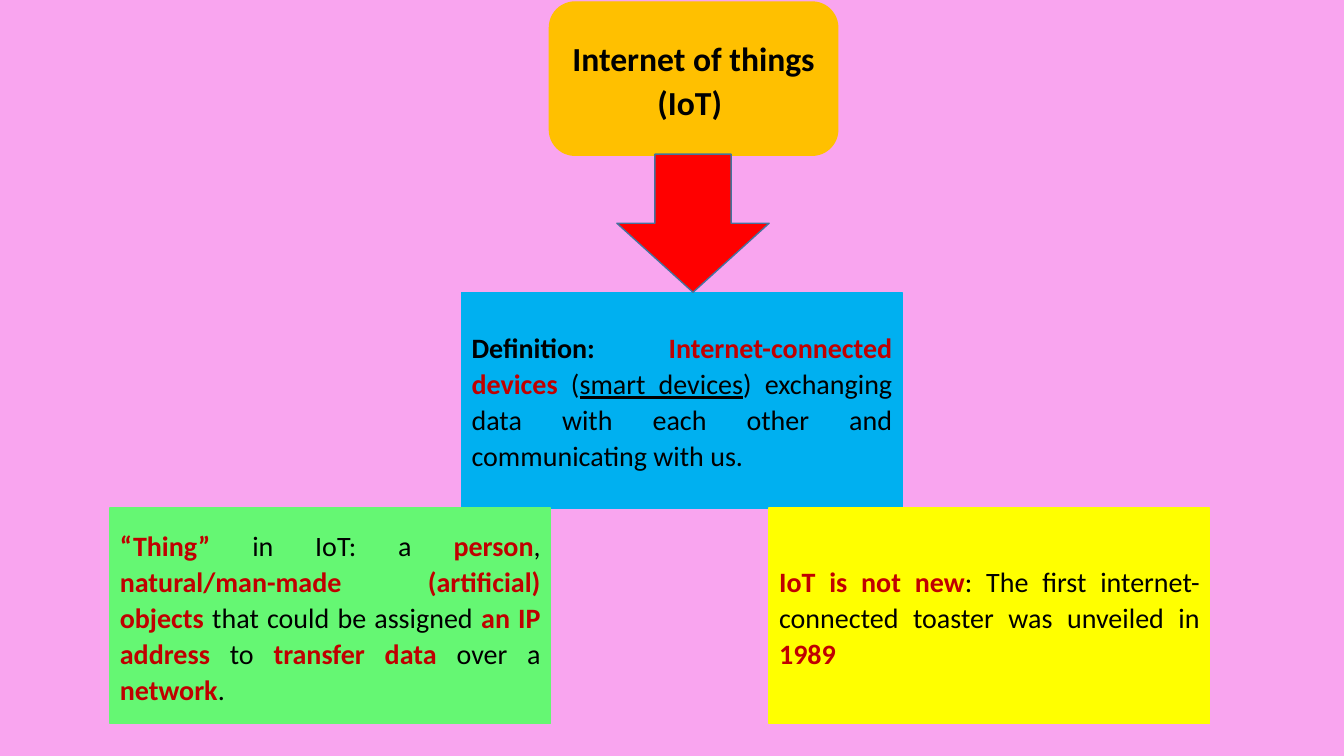
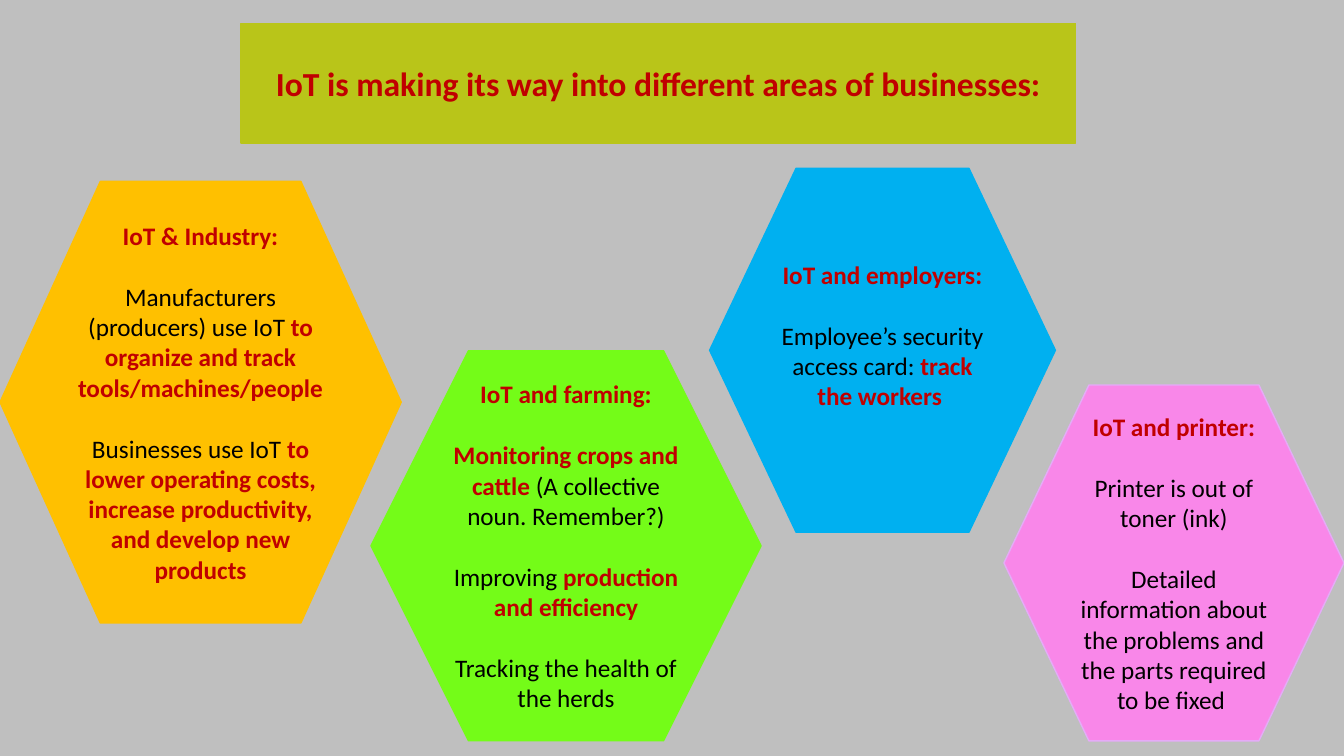
from dataclasses import dataclass
from typing import NamedTuple

from pptx import Presentation
from pptx.dml.color import RGBColor
from pptx.enum.shapes import MSO_SHAPE
from pptx.enum.text import MSO_ANCHOR, PP_ALIGN
from pptx.slide import Slide
from pptx.text.text import TextFrame
from pptx.util import Inches, Pt

RECT = MSO_SHAPE.RECTANGLE
ROUND = MSO_SHAPE.ROUNDED_RECTANGLE
ARROW = MSO_SHAPE.DOWN_ARROW
HEX = MSO_SHAPE.HEXAGON
CENTER = PP_ALIGN.CENTER
JUSTIFY = PP_ALIGN.JUSTIFY
MIDDLE = MSO_ANCHOR.MIDDLE

WIDTH, HEIGHT = Inches(13.33), Inches(7.5)
FONT = "Calibri"

BLACK = RGBColor(0x00, 0x00, 0x00)
CRIMSON = RGBColor(0xC0, 0x00, 0x00)
RED = RGBColor(0xFF, 0x00, 0x00)
STEEL = RGBColor(0x43, 0x73, 0x9E)
AMBER = RGBColor(0xFF, 0xC0, 0x00)
BLUE = RGBColor(0x00, 0xB0, 0xF0)
YELLOW = RGBColor(0xFF, 0xFF, 0x00)
MINT = RGBColor(0x65, 0xF7, 0x73)
LIME = RGBColor(0x74, 0xFC, 0x18)
OLIVE = RGBColor(0xB9, 0xC5, 0x19)
ROSE = RGBColor(0xF9, 0x87, 0xE9)
LILAC = RGBColor(0xE5, 0xAB, 0xF7)
PINK = RGBColor(0xF9, 0xA5, 0xEF)
GREY = RGBColor(0xBF, 0xBF, 0xBF)


class Look(NamedTuple):
    color: RGBColor
    bold: bool = False
    under: bool = False


PLAIN = Look(BLACK)
HEAD = Look(BLACK, bold=True)
LINED = Look(BLACK, under=True)
HOT = Look(CRIMSON, bold=True)


class Span(NamedTuple):
    text: str
    look: Look = PLAIN


class Area(NamedTuple):
    """Place in percent of the slide's width and height."""
    left: float
    top: float
    width: float
    height: float


@dataclass(frozen=True)
class Type:
    size: int
    align: PP_ALIGN = CENTER
    lead: float = 1.0
    after: int = 0
    gap: int = 0


TITLE = Type(24, lead=1.07, after=8)
BODY = Type(20, align=JUSTIFY, lead=1.07, after=8)
BANNER = Type(24)
CELL = Type(18, gap=22)


@dataclass(frozen=True)
class Box:
    kind: MSO_SHAPE
    area: Area
    fill: RGBColor
    type: Type = BODY
    paras: tuple[tuple[Span, ...], ...] = ()
    line: RGBColor | None = None
    foot: float = 0.05


def card(left: float, top: float, fill: RGBColor, *spans: Span) -> Box:
    return Box(RECT, Area(left, top, 32.78, 28.53), fill, BODY, (spans,))


INTRO = (
    Box(ROUND, Area(40.88, 0.27, 21.45, 20.27), AMBER, TITLE,
        ((Span("Internet of things (IoT) ", HEAD),),)),
    card(34.35, 38.67, BLUE,
         Span("Definition: ", HEAD),
         Span("Internet-connected devices", HOT),
         Span(" ("),
         Span("smart devices", LINED),
         Span(") exchanging data with each other and communicating with us.")),
    card(57.23, 67.2, YELLOW,
         Span("IoT is not new", HOT),
         Span(": The first internet-connected toaster was unveiled in "),
         Span("1989 ", HOT)),
    card(8.18, 67.2, MINT,
         Span("“Thing”", HOT),
         Span(" in IoT: a "),
         Span("person", HOT),
         Span(", "),
         Span("natural/man-made (artificial) objects ", HOT),
         Span("that could be assigned "),
         Span("an IP address", HOT),
         Span(" to "),
         Span("transfer data ", HOT),
         Span("over a "),
         Span("network", HOT),
         Span(". ")),
    Box(ARROW, Area(45.9, 20.4, 11.33, 18.27), RED, line=STEEL),
)

AREAS = (
    Box(RECT, Area(17.93, 3.07, 62.1, 15.87), OLIVE, BANNER,
        ((Span("IoT is making its way into different areas of businesses:",
               HOT),),)),
    Box(HEX, Area(0, 24, 29.85, 58.4), AMBER, CELL, (
        (Span("IoT & Industry:", HOT),),
        (Span("Manufacturers (producers) use IoT "),
         Span("to organize and track tools/machines/people", HOT)),
        (Span("Businesses use IoT "),
         Span("to lower operating costs, increase productivity, "
              "and develop new products", HOT)),
    )),
    Box(HEX, Area(27.6, 46.4, 29.03, 51.6), LIME, CELL, (
        (Span("IoT and farming:", HOT),),
        (Span("Monitoring crops and cattle ", HOT),
         Span("(A collective noun. Remember?)")),
        (Span("Improving "), Span("production and efficiency", HOT)),
        (Span("Tracking the health of the herds"),),
    )),
    Box(HEX, Area(52.8, 22.27, 25.73, 48.13), BLUE, CELL, (
        (Span("IoT and employers:", HOT),),
        (Span("Employee’s security access card: "),
         Span("track the workers ", HOT)),
    ), foot=0.35),
    Box(HEX, Area(74.7, 50.93, 25.3, 47.07), ROSE, CELL, (
        (Span("IoT and printer:", HOT),),
        (Span("Printer is out of toner (ink)"),),
        (Span("Detailed information about the problems and "
              "the parts required to be fixed "),),
    ), line=LILAC),
)


def write(frame: TextFrame, box: Box) -> None:
    frame.word_wrap = True
    frame.vertical_anchor = MIDDLE
    frame.margin_bottom = Inches(box.foot)
    for row, spans in enumerate(box.paras):
        para = frame.add_paragraph() if row else frame.paragraphs[0]
        para.alignment = box.type.align
        para.line_spacing = box.type.lead
        para.space_after = Pt(box.type.after)
        para.space_before = Pt(box.type.gap if row else 0)
        for text, look in spans:
            run = para.add_run()
            run.text = text
            font = run.font
            font.name, font.size = FONT, Pt(box.type.size)
            font.bold, font.underline = look.bold, look.under
            font.color.rgb = look.color


def draw(slide: Slide, box: Box) -> None:
    left, top, width, height = box.area
    shape = slide.shapes.add_shape(
        box.kind,
        round(WIDTH * left / 100), round(HEIGHT * top / 100),
        round(WIDTH * width / 100), round(HEIGHT * height / 100))
    shape.shadow.inherit = False
    shape.fill.solid()
    shape.fill.fore_color.rgb = box.fill
    shape.line.color.rgb = box.line or box.fill
    shape.line.width = Pt(1)
    if box.paras:
        write(shape.text_frame, box)


def main() -> None:
    deck = Presentation()
    deck.slide_width, deck.slide_height = WIDTH, HEIGHT
    blank = deck.slide_layouts[6]
    for back, boxes in ((PINK, INTRO), (GREY, AREAS)):
        slide = deck.slides.add_slide(blank)
        slide.background.fill.solid()
        slide.background.fill.fore_color.rgb = back
        for box in boxes:
            draw(slide, box)
    deck.save("out.pptx")


if __name__ == "__main__":
    main()
